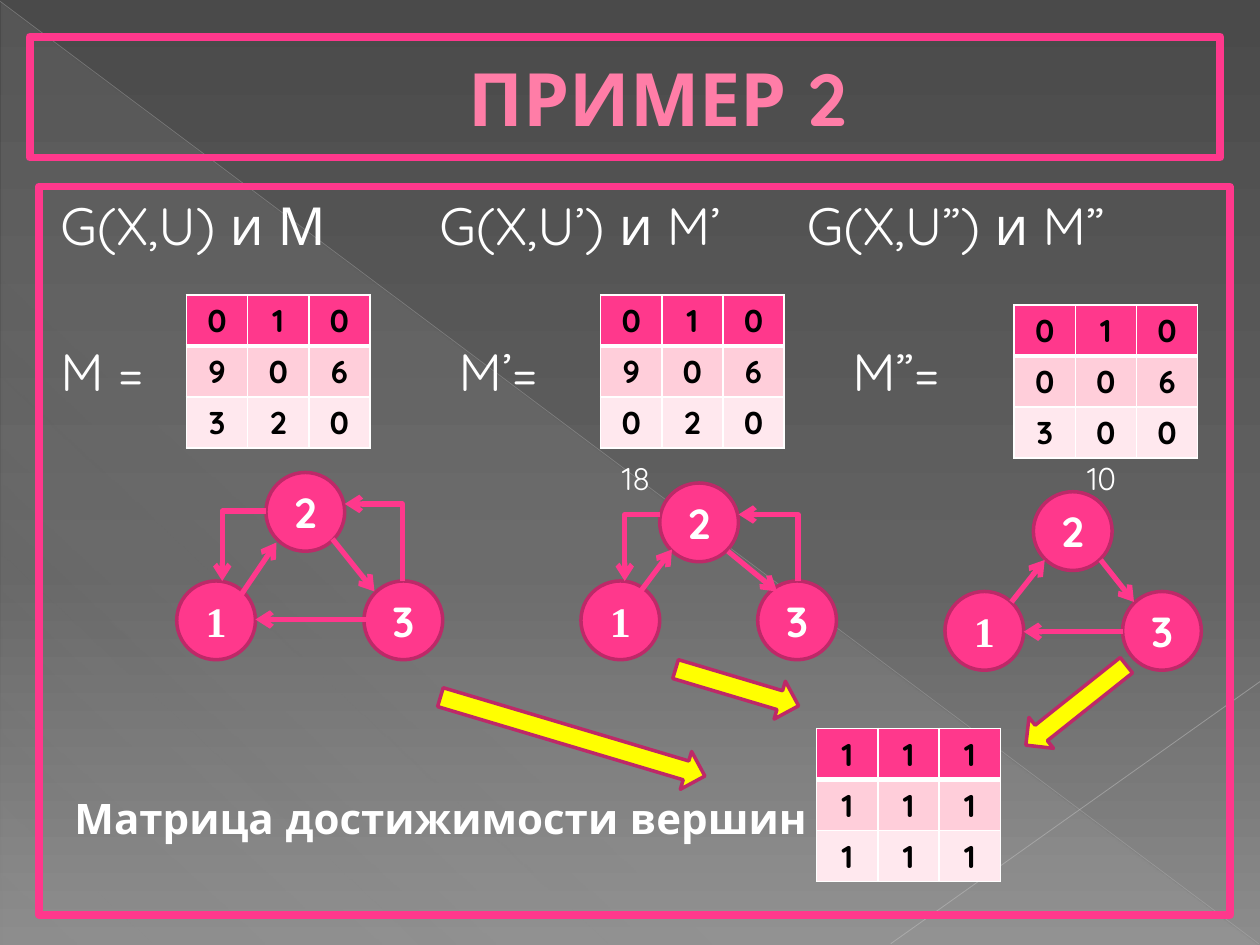
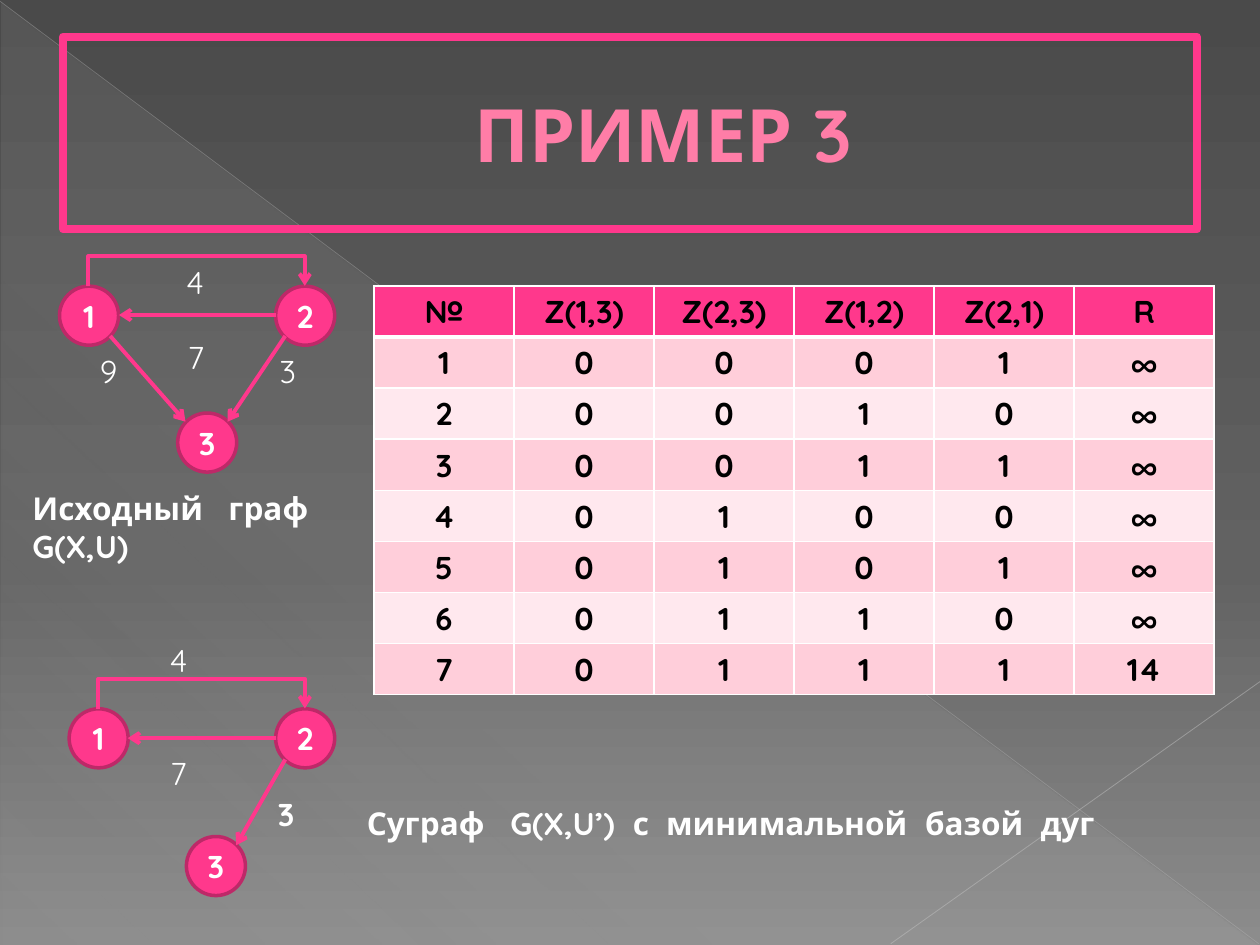
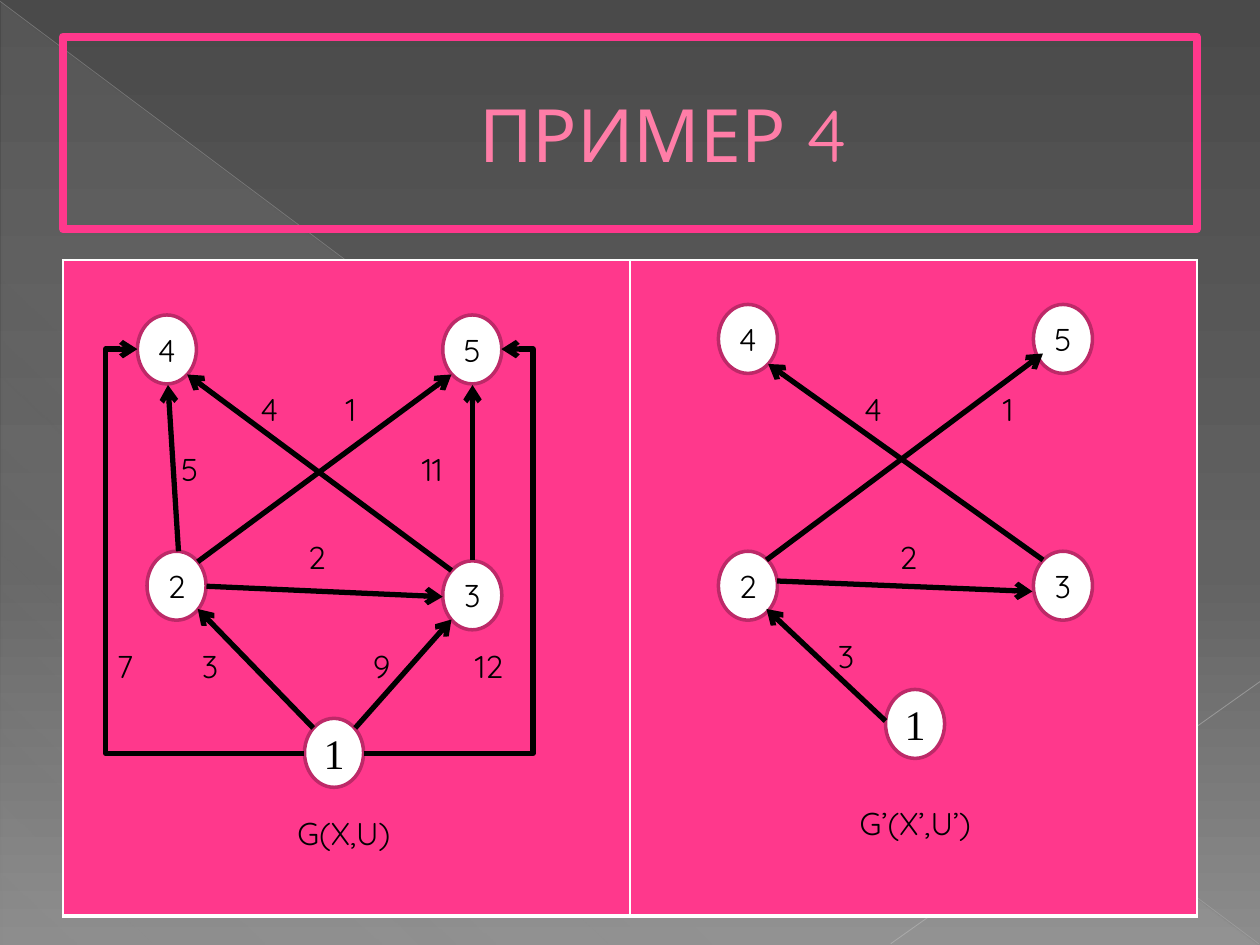
from dataclasses import dataclass
from typing import Optional, Sequence

from lxml import etree
from pptx import Presentation, util as u
from pptx.dml.color import RGBColor
from pptx.enum import shapes, text
from pptx.oxml.ns import qn

COLORS = {
    "pink": "FF388C", "edge": "BD2968", "title": "FF7DA7", "title_edge": "B12761",
    "band_dark": "FFCEDA", "band_light": "FFE8EE", "white": "FFFFFF",
    "black": "000000", "yellow": "FFFF00", "glass": "D2D2D2",
    "diagonal": "BFBFBF", "corner": "C6C6C6",
    "sky_top": "4A4A4A", "sky_mid": "626262", "sky_low": "8C8C8C",
}
FONT = "Quicksand"
SERIF = "Times New Roman"
Point = tuple[float, float]


@dataclass(frozen=True)
class Node:
    number: str
    left: float
    top: float


@dataclass(frozen=True)
class Weight:
    value: str
    x: float
    y: float
    bold: bool = False


@dataclass(frozen=True)
class Edge:
    start: Point
    end: Point


@dataclass(frozen=True)
class Elbow(Edge):
    preset: str
    rotation: int
    flip: str = ""
    bend: Optional[float] = None


@dataclass(frozen=True)
class GraphStyle:
    width: float
    height: float
    fill: str
    ink: str
    size: float
    bold: bool
    edge_color: str
    edge_width: float


def rgb(name: str) -> RGBColor:
    return RGBColor.from_string(COLORS[name])


def add_color(parent, name: str, alpha: Optional[int] = None) -> None:
    color = etree.SubElement(parent, qn("a:srgbClr"), val=COLORS[name])
    if alpha is not None:
        etree.SubElement(color, qn("a:alpha"), val=str(alpha * 1000))


def set_gradient(fill, owner, stops: Sequence[tuple], angle: int) -> None:
    fill.gradient()
    gradient = owner.find(".//" + qn("a:gradFill"))
    stop_list = gradient.find(qn("a:gsLst"))
    for old in list(stop_list):
        stop_list.remove(old)
    for position, name, alpha in stops:
        stop = etree.SubElement(stop_list, qn("a:gs"), pos=str(position * 1000))
        add_color(stop, name, alpha)
    gradient.find(qn("a:lin")).set("ang", str(angle * 60000))


def style_paragraph(paragraph, size: float, color: str, bold: bool = False,
                    font: str = FONT) -> None:
    paragraph.font.name = font
    paragraph.font.size = u.Pt(size)
    paragraph.font.bold = bold
    paragraph.font.color.rgb = rgb(color)


def set_tabs(paragraph, stops: Sequence[float]) -> None:
    tabs = etree.Element(qn("a:tabLst"))
    for stop in stops:
        etree.SubElement(tabs, qn("a:tab"), pos=str(u.Pt(stop)), algn="l")
    paragraph._p.get_or_add_pPr().find(qn("a:defRPr")).addprevious(tabs)


def place(shape, left: float, top: float, width: float, height: float) -> None:
    shape.left, shape.top = u.Pt(left), u.Pt(top)
    shape.width, shape.height = u.Pt(width), u.Pt(height)


def frame(shape) -> None:
    shape.line.color.rgb = rgb("pink")
    shape.line.width = u.Pt(4.5)


def add_title(slide, words: str, box: tuple, bold: bool = True) -> None:
    title = slide.shapes.title
    place(title, *box)
    frame(title)
    content = title.text_frame
    content.text = words
    content.margin_left = u.Pt(45)
    content.auto_size = text.MSO_AUTO_SIZE.NONE
    content.vertical_anchor = text.MSO_ANCHOR.MIDDLE
    heading = content.paragraphs[0]
    heading.alignment = text.PP_ALIGN.CENTER
    style_paragraph(heading, 42, "title", bold)
    outline = etree.Element(qn("a:ln"), w=str(u.Pt(0.5)))
    add_color(etree.SubElement(outline, qn("a:solidFill")), "title_edge")
    heading._p.pPr.find(qn("a:defRPr")).insert(0, outline)


def draw_line(slide, start: Point, end: Point, color: str, width: float,
              alpha: Optional[int] = None):
    line = slide.shapes.add_connector(
        shapes.MSO_CONNECTOR.STRAIGHT, *(u.Pt(value) for value in (*start, *end)))
    line.line.color.rgb = rgb(color)
    line.line.width = u.Pt(width)
    if alpha is not None:
        tint = line.element.spPr.find(".//" + qn("a:srgbClr"))
        etree.SubElement(tint, qn("a:alpha"), val=str(alpha * 1000))
    etree.SubElement(line.element.spPr, qn("a:effectLst"))
    return line


def bend_line(line, elbow: Elbow) -> None:
    (x1, y1), (x2, y2) = elbow.start, elbow.end
    width, height = abs(x2 - x1), abs(y2 - y1)
    if elbow.rotation in (90, 270):
        width, height = height, width
    place(line, (x1 + x2 - width) / 2, (y1 + y2 - height) / 2, width, height)
    line.rotation = elbow.rotation
    transform = line.element.spPr.find(qn("a:xfrm"))
    for axis in "hv":
        transform.set("flip" + axis.upper(), str(int(axis in elbow.flip)))
    geometry = line.element.spPr.find(qn("a:prstGeom"))
    geometry.set("prst", elbow.preset)
    if elbow.bend is not None:
        etree.SubElement(geometry.find(qn("a:avLst")), qn("a:gd"), name="adj1",
                         fmla=f"val {round(elbow.bend * 100000)}")


def draw_edge(slide, edge: Edge, style: GraphStyle) -> None:
    line = draw_line(slide, edge.start, edge.end, style.edge_color, style.edge_width)
    if isinstance(edge, Elbow):
        bend_line(line, edge)
    etree.SubElement(line.element.spPr.find(qn("a:ln")), qn("a:tailEnd"), type="arrow")


def draw_preset(slide, preset, box: tuple, fill: str):
    shape = slide.shapes.add_shape(preset, *(u.Pt(value) for value in box))
    shape.shadow.inherit = False
    shape.fill.solid()
    shape.fill.fore_color.rgb = rgb(fill)
    shape.line.color.rgb = rgb("edge")
    shape.line.width = u.Pt(2)
    return shape


def draw_node(slide, node: Node, style: GraphStyle, serif_one: bool) -> None:
    circle = draw_preset(slide, shapes.MSO_SHAPE.OVAL,
                         (node.left, node.top, style.width, style.height), style.fill)
    content = circle.text_frame
    content.margin_left = content.margin_right = 0
    content.margin_top = content.margin_bottom = 0
    content.word_wrap = False
    content.vertical_anchor = text.MSO_ANCHOR.MIDDLE
    content.text = node.number
    number = content.paragraphs[0]
    number.alignment = text.PP_ALIGN.CENTER
    if serif_one and node.number == "1":
        style_paragraph(number, 24, style.ink, style.bold, SERIF)
    else:
        style_paragraph(number, style.size, style.ink, style.bold)


def draw_weight(slide, weight: Weight, ink: str) -> None:
    width, height = 22 + 10 * len(weight.value), 29
    label = slide.shapes.add_textbox(u.Pt(weight.x - width / 2), u.Pt(weight.y - height / 2),
                                     u.Pt(width), u.Pt(height))
    label.text_frame.word_wrap = True
    label.text_frame.text = weight.value
    value = label.text_frame.paragraphs[0]
    value.alignment = text.PP_ALIGN.CENTER
    style_paragraph(value, 18, ink, weight.bold)


def draw_graph(slide, style: GraphStyle, nodes: Sequence[Node], edges: Sequence[Edge],
               weights: Sequence[Weight], serif_one: bool = True) -> None:
    for node in nodes:
        draw_node(slide, node, style, serif_one)
    for edge in edges:
        draw_edge(slide, edge, style)
    for weight in weights:
        draw_weight(slide, weight, style.ink)


def draw_caption(slide, lines: Sequence[str], box: tuple, stops: Sequence[float] = (),
                 size: float = 18, bold: bool = True) -> None:
    caption = slide.shapes.add_textbox(*(u.Pt(value) for value in box))
    caption.text_frame.word_wrap = True
    caption.text_frame.text = "\n".join(lines)
    for line in caption.text_frame.paragraphs:
        style_paragraph(line, size, "white", bold)
        if "\t" in line.text:
            set_tabs(line, stops)


def set_borders(cell, top: float, bottom: float) -> None:
    properties = cell._tc.get_or_add_tcPr()
    sides = (("a:lnL", 1), ("a:lnR", 1), ("a:lnT", top), ("a:lnB", bottom))
    for index, (tag, width) in enumerate(sides):
        border = etree.Element(qn(tag), w=str(u.Pt(width)))
        add_color(etree.SubElement(border, qn("a:solidFill")), "white")
        properties.insert(index, border)


def draw_table(slide, rows: Sequence[Sequence[str]], left: float, top: float,
               column_width: float, row_height: float = 29.2) -> None:
    count = len(rows[0])
    table = slide.shapes.add_table(
        len(rows), count, u.Pt(left), u.Pt(top),
        u.Pt(column_width * count), u.Pt(row_height * len(rows))).table
    table.horz_banding = False
    for row_index, row in enumerate(rows):
        if row_index == 0:
            band = "pink"
        else:
            band = "band_dark" if row_index % 2 else "band_light"
        for column_index, value in enumerate(row):
            cell = table.cell(row_index, column_index)
            cell.fill.solid()
            cell.fill.fore_color.rgb = rgb(band)
            set_borders(cell, 3 if row_index == 1 else 1, 3 if row_index == 0 else 1)
            if value:
                cell.text = value
                entry = cell.text_frame.paragraphs[0]
                entry.alignment = text.PP_ALIGN.CENTER
                style_paragraph(entry, 18, "black", True)


def decorate_master(presentation, slide) -> None:
    master = presentation.slide_master
    set_gradient(master.background.fill, master.element,
                 ((0, "sky_top", None), (60, "sky_mid", None), (100, "sky_low", None)), 90)
    triangle = draw_preset(slide, shapes.MSO_SHAPE.RIGHT_TRIANGLE,
                           (0.72, 1.44, 718.56, 538.56), "glass")
    triangle.line.fill.background()
    set_gradient(triangle.fill, triangle.element,
                 ((0, "glass", 10), (70, "glass", 8), (100, "glass", 1)), 133)
    diagonal = draw_line(slide, (0, 0.72), (719.28, 539.28), "diagonal", 0.39, 35)
    corner = draw_line(slide, (720, 389.5), (509, 539.28), "corner", 0.47, 45)
    for index, part in enumerate((triangle, diagonal, corner)):
        part.element.find(".//" + qn("p:cNvPr")).set("id", str(20 + index))
        master.shapes.element.insert(2 + index, part.element)


def add_formulas(slide) -> None:
    formulas = slide.placeholders[1]
    place(formulas, 22.32, 106.56, 680.4, 416.16)
    frame(formulas)
    content = formulas.text_frame
    content.auto_size = text.MSO_AUTO_SIZE.NONE
    content.margin_left = u.Pt(12.2)
    lines = (
        ("G(X,U) и М", 30, False, 0, 0),
        ("M =", 30, False, 47.5, 0),
        ("Матрица достижимости вершин", 24, True, 223, 8),
    )
    content.text = "\n".join(line[0] for line in lines)
    for paragraph, (_, size, bold, before, margin) in zip(content.paragraphs, lines):
        paragraph.space_before = u.Pt(before)
        style_paragraph(paragraph, size, "white", bold)
        properties = paragraph._p.get_or_add_pPr()
        properties.set("marL", str(u.Pt(margin)))
        properties.set("indent", "0")
        properties.find(qn("a:defRPr")).addprevious(etree.Element(qn("a:buNone")))
    columns = (
        ("G(X,U’) и M’", 244, 106.56, 200), ("G(X,U”) и M”", 454, 106.56, 200),
        ("M’=", 255, 190, 80), ("M”=", 480, 190, 80),
    )
    for words, left, top, width in columns:
        draw_caption(slide, (words,), (left, top, width, 45), size=30, bold=False)


def build_example_2(slide) -> None:
    add_title(slide, "ПРИМЕР 2", (16.9, 20.88, 680.4, 69.12))
    add_formulas(slide)
    matrices = (
        (("010", "906", "320"), 106.5, 168.5),
        (("010", "906", "020"), 343.2, 168.5),
        (("010", "006", "300"), 579.5, 174.2),
        (("111", "111", "111"), 466.7, 416.2),
    )
    for rows, left, top in matrices:
        draw_table(slide, rows, left, top, 35)
    style = GraphStyle(45, 45, "pink", "white", 24, True, "pink", 3)
    draw_graph(
        slide, style,
        (Node("2", 152, 270), Node("3", 208, 332), Node("1", 101, 332)),
        (Edge((135, 344), (158, 310)), Edge((190, 308), (214, 338)),
         Edge((225, 354), (146, 354)),
         Elbow((152, 292), (127, 332), "bentConnector2", 180, "v"),
         Elbow((230, 332), (197, 288), "bentConnector2", 270, "v")),
        ())
    draw_graph(
        slide, style,
        (Node("3", 433, 332), Node("1", 332, 332), Node("2", 377, 276)),
        (Edge((366, 338), (384, 314)), Edge((416, 315), (444, 338)),
         Elbow((456, 332), (422, 294), "bentConnector2", 270, "v"),
         Elbow((377, 294), (357, 332), "bentConnector2", 180, "v")),
        (Weight("18", 363.5, 273),))
    draw_graph(
        slide, style,
        (Node("3", 641.5, 338), Node("1", 540, 338), Node("2", 590.5, 281)),
        (Edge((578, 344), (597, 320)), Edge((629, 320), (648, 344)),
         Edge((642, 361), (585, 361))),
        (Weight("10", 629.5, 273),))
    pointers = ((248.4, 409.7, 157.7, 16.6), (384.5, 381.6, 73.4, 16.6),
                (578.2, 391.7, 73.4, 141.5))
    for left, top, length, angle in pointers:
        pointer = draw_preset(slide, shapes.MSO_SHAPE.RIGHT_ARROW,
                              (left, top, length, 22.5), "yellow")
        pointer.rotation = angle


def build_example_3(slide) -> None:
    add_title(slide, "ПРИМЕР 3", (36, 20.88, 648, 110.16))
    style = GraphStyle(33.75, 33.75, "pink", "white", 18, True, "pink", 2.25)
    draw_graph(
        slide, style,
        (Node("1", 34, 163.5), Node("3", 101.5, 236), Node("2", 157.5, 163.5)),
        (Elbow((50.5, 163.5), (174.2, 163.38), "bentConnector3", 90, "hv", 150),
         Edge((158, 180), (68, 180)), Edge((163, 192), (130, 241)),
         Edge((63, 192), (106, 241))),
        (Weight("4", 111.5, 161), Weight("7", 112, 204),
         Weight("9", 62, 212), Weight("3", 164.5, 212)),
        serif_one=False)
    draw_graph(
        slide, style,
        (Node("3", 106.5, 478), Node("2", 157.5, 405), Node("1", 39.5, 405)),
        (Elbow((56.2, 405), (174.2, 404.88), "bentConnector3", 90, "hv", 150),
         Edge((158, 421.8), (73, 421.8)), Edge((163, 434), (135, 483))),
        (Weight("4", 102, 377), Weight("7", 102, 442), Weight("3", 163.5, 465, True)),
        serif_one=False)
    choices = [(str(n), *f"{n:04b}", "14" if n == 7 else "∞") for n in range(1, 8)]
    header = ("№", "Z(1,3)", "Z(2,3)", "Z(1,2)", "Z(2,1)", "R")
    draw_table(slide, [header, *choices], 213.8, 163.4, 80)
    draw_caption(slide, ("Исходный\tграф", "G(X,U)"), (11.5, 275.8, 180, 51), (112,))
    draw_caption(slide, ("Суграф\tG(X,U’)\tс\tминимальной\tбазой\tдуг",),
                 (202.5, 455.8, 500, 29), (82, 152, 171, 319, 385))


def build_example_4(slide) -> None:
    add_title(slide, "ПРИМЕР 4", (36, 20.88, 648, 110.16), bold=False)
    draw_table(slide, [("", "")], 36, 148.5, 324, 375)
    style = GraphStyle(33.75, 39.4, "white", "black", 18, False, "black", 3)
    draw_graph(
        slide, style,
        (Node("4", 78.5, 180), Node("1", 174, 410.5), Node("2", 84, 315),
         Node("3", 253, 320.5), Node("5", 253, 180)),
        (Edge((179, 416), (113, 348)), Edge((203, 416), (258, 354)),
         Edge((270, 320), (270, 220)), Edge((102, 315), (96, 220)),
         Edge((258, 326), (107, 214)), Edge((113, 321), (258, 214)),
         Edge((118, 335), (253, 341)),
         Elbow((208, 430.5), (286.5, 199.5), "bentConnector3", 0, "v", 1.23),
         Elbow((174, 430.5), (78.5, 199.5), "bentConnector3", 180, "", 1.19)),
        (Weight("4", 154, 234), Weight("1", 200.5, 234), Weight("5", 108.5, 268),
         Weight("11", 247, 268), Weight("2", 181, 318.5), Weight("7", 71.5, 380.5),
         Weight("3", 120, 380.5), Weight("9", 218, 380.5), Weight("12", 279.5, 380.5),
         Weight("G(X,U)", 196.5, 476)))
    draw_graph(
        slide, style,
        (Node("4", 410.5, 174), Node("1", 506, 394), Node("3", 590.5, 315),
         Node("2", 410.5, 315), Node("5", 590.5, 174)),
        (Edge((596, 320), (439, 208)), Edge((438, 320), (596, 202)),
         Edge((444, 332), (590, 338)), Edge((506, 412), (438, 348))),
        (Weight("4", 499, 234), Weight("1", 576, 234), Weight("2", 519, 318.5),
         Weight("3", 483.5, 375), Weight("G’(X’,U’)", 523, 470.5)))


deck = Presentation()
deck.slide_width, deck.slide_height = u.Pt(720), u.Pt(540)
title_and_body, title_only = deck.slide_layouts[1], deck.slide_layouts[5]
example_2 = deck.slides.add_slide(title_and_body)
decorate_master(deck, example_2)
build_example_2(example_2)
build_example_3(deck.slides.add_slide(title_only))
build_example_4(deck.slides.add_slide(title_only))
deck.save("out.pptx")
